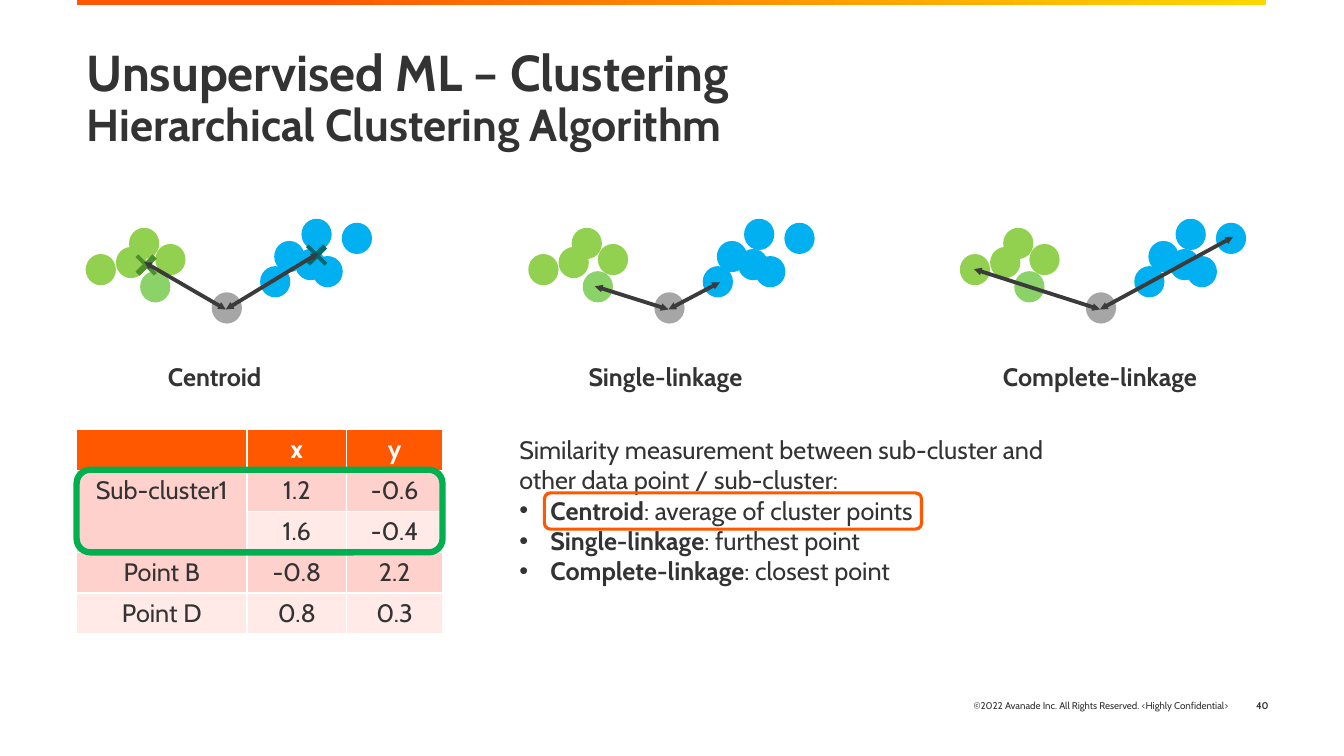
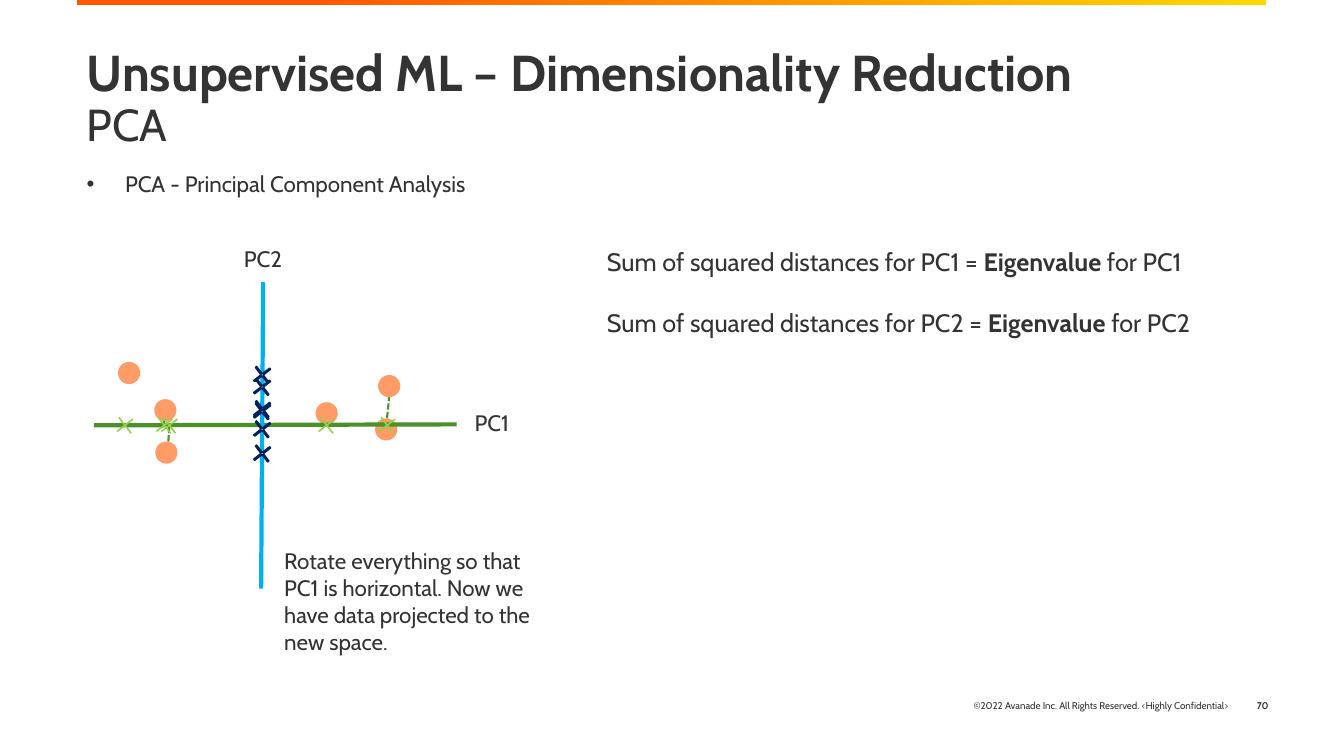
from dataclasses import dataclass

from lxml import etree
from pptx import Presentation
from pptx.dml.color import RGBColor
from pptx.enum.dml import MSO_LINE
from pptx.enum.shapes import MSO_CONNECTOR, MSO_SHAPE
from pptx.enum.text import MSO_ANCHOR, MSO_AUTO_SIZE, PP_ALIGN
from pptx.oxml.ns import qn
from pptx.util import Inches, Pt


@dataclass(frozen=True)
class Theme:
    """Colours and type sizes of the deck."""

    font: str = "Cabin"
    ink: str = "333333"
    white: str = "FFFFFF"
    orange: str = "FF5800"
    gold: str = "FFD700"
    peach: str = "FF9B66"
    rose: str = "FFD1CC"
    blush: str = "FFEAE7"
    lime: str = "92D050"
    mint: str = "8BD369"
    leaf: str = "4B912A"
    green: str = "00B050"
    teal: str = "006970"
    sky: str = "00B0F0"
    navy: str = "002060"
    grey: str = "A6A6A6"
    coal: str = "3B3B3B"
    head: int = 36
    sub: int = 32
    large: int = 18
    base: int = 16
    foot: int = 7


THEME = Theme()


def rgb(code):
    """Turn a hex code into a colour."""
    return RGBColor.from_string(code)


def inch(*sizes):
    """Turn numbers into lengths."""
    return [Inches(size) for size in sizes]


class Deck:
    """Holds the style and the current slide."""

    def __init__(self, theme):
        """Start an empty wide deck."""
        self.theme = theme
        self.show = Presentation()
        self.show.slide_width, self.show.slide_height = inch(13.33, 7.5)

    def start(self, head, sub, number, bold=True):
        """Add a slide with its band, footer and title."""
        self.slide = self.show.slides.add_slide(self.show.slide_layouts[1])
        self.room = self.slide.shapes
        self.band()
        self.text((7.78, 6.8, 4.5, 0.4),
                  [[("©2022 Avanade Inc. All Rights Reserved. <Highly Confidential>", False)]],
                  self.theme.foot, align=PP_ALIGN.RIGHT, anchor=MSO_ANCHOR.MIDDLE)
        self.text((12.2, 6.8, 0.48, 0.4), [[(number, True)]],
                  self.theme.foot, align=PP_ALIGN.RIGHT, anchor=MSO_ANCHOR.MIDDLE)
        frame = self.hold(self.slide.shapes.title, (0.76, 0.43, 11.79, 1.09))
        par = frame.paragraphs[0]
        self.put(par, [(head, True)], self.theme.head, PP_ALIGN.LEFT)
        par.line_spacing = 0.9
        par.runs[0].font.size = Pt(self.theme.head)
        par.add_line_break()
        run = par.add_run()
        run.text = sub
        run.font.size = Pt(self.theme.sub)
        run.font.bold = bold

    def band(self):
        """Draw the colour band on the top edge."""
        shape = self.shape(MSO_SHAPE.RECTANGLE, (0.76, 0, 11.8, 0.05))
        shape.fill.gradient()
        shape.fill.gradient_angle = 0
        stops = shape.fill.gradient_stops
        for stop, code, place in zip(stops, (self.theme.orange, self.theme.gold), (0.2, 1)):
            stop.color.rgb = rgb(code)
            stop.position = place

    def hold(self, shape, box):
        """Move a placeholder and return its frame."""
        shape.left, shape.top, shape.width, shape.height = inch(*box)
        frame = shape.text_frame
        frame.auto_size = MSO_AUTO_SIZE.NONE
        frame.vertical_anchor = MSO_ANCHOR.TOP
        return frame

    def put(self, par, runs, size, align=PP_ALIGN.LEFT, color=None):
        """Put runs of text and bold flags into a paragraph."""
        par.alignment = align
        par.space_before = Pt(0)
        par.font.name = self.theme.font
        par.font.size = Pt(size)
        par.font.color.rgb = rgb(color or self.theme.ink)
        flags = {bold for _, bold in runs}
        if len(flags) == 1:
            par.font.bold = flags.pop()
        for words, bold in runs:
            run = par.add_run()
            run.text = words
            if par.font.bold is None:
                run.font.bold = bold

    def lines(self, frame, rows):
        """Yield a paragraph of the frame for each row."""
        for index, row in enumerate(rows):
            yield (frame.add_paragraph() if index else frame.paragraphs[0]), row

    def text(self, box, rows, size, align=PP_ALIGN.LEFT, anchor=MSO_ANCHOR.TOP,
             wrap=True, gap=0):
        """Add a text box."""
        frame = self.room.add_textbox(*inch(*box)).text_frame
        frame.word_wrap = wrap
        frame.vertical_anchor = anchor
        for index, (par, row) in enumerate(self.lines(frame, rows)):
            self.put(par, row, size, align)
            if index:
                par.space_before = Pt(gap)

    def body(self, box, rows, size, dent, plain=0, pitch=1.0):
        """Fill the body with plain rows first, then a bullet list."""
        frame = self.hold(self.slide.placeholders[1], box)
        for index, (par, row) in enumerate(self.lines(frame, rows)):
            props = par._p.get_or_add_pPr()
            shift = 0 if index < plain else Inches(dent)
            props.set("marL", str(shift))
            props.set("indent", str(-shift))
            if shift:
                etree.SubElement(props, qn("a:buChar")).set("char", "•")
            else:
                etree.SubElement(props, qn("a:buNone"))
            self.put(par, row, size)
            par.line_spacing = pitch

    def shape(self, kind, box, fill=None, line=None, width=1.0, turn=0, adjust=None):
        """Add a preset shape."""
        shape = self.room.add_shape(kind, *inch(*box))
        shape.shadow.inherit = False
        shape.rotation = turn
        if adjust is not None:
            shape.adjustments[0] = adjust
        if fill:
            shape.fill.solid()
            shape.fill.fore_color.rgb = rgb(fill)
        else:
            shape.fill.background()
        if line:
            shape.line.color.rgb = rgb(line)
            shape.line.width = Pt(width)
        else:
            shape.line.fill.background()
        return shape

    def dot(self, left, top, wide, high, fill):
        """Add a data point."""
        self.shape(MSO_SHAPE.OVAL, (left, top, wide, high), fill)

    def line(self, start, end, color, width, dash=False, heads=False):
        """Add a line, dashed or with heads on both ends."""
        link = self.room.add_connector(MSO_CONNECTOR.STRAIGHT, *inch(*start, *end))
        link.line.color.rgb = rgb(color)
        link.line.width = Pt(width)
        if dash:
            link.line.dash_style = MSO_LINE.SQUARE_DOT
        props = link._element.spPr
        if heads:
            for name in ("a:headEnd", "a:tailEnd"):
                tip = etree.SubElement(props.find(qn("a:ln")), qn(name))
                for key, value in (("type", "triangle"), ("w", "sm"), ("len", "sm")):
                    tip.set(key, value)
        etree.SubElement(props, qn("a:effectLst"))

    def table(self, box, wides, rows):
        """Add a table with a head row and banded rows."""
        theme = self.theme
        grid = self.room.add_table(len(rows), len(wides), *inch(*box)).table
        for col, wide in zip(grid.columns, wides):
            col.width = Inches(wide)
        for index, row in enumerate(rows):
            band = (theme.rose if index % 2 else theme.blush) if index else theme.orange
            for spot, words in enumerate(row):
                cell = grid.cell(index, spot)
                cell.fill.solid()
                cell.fill.fore_color.rgb = rgb(band)
                if words:
                    self.put(cell.text_frame.paragraphs[0], [(words, not index)],
                             theme.large, PP_ALIGN.CENTER,
                             theme.ink if index else theme.white)
        return grid

    def group(self):
        """Send the next shapes to a new group."""
        self.room = self.slide.shapes.add_group_shape().shapes

    def leave(self):
        """Send the next shapes to the slide again."""
        self.room = self.slide.shapes


def linkage(deck):
    """Build the slide on linkage."""
    theme = deck.theme
    deck.start("Unsupervised ML – Clustering", "Hierarchical Clustering Algorithm", "40")
    grid = deck.table((0.76, 4.26, 3.63, 2.03), (1.69, 0.99, 0.95), [
        ("", "x", "y"),
        ("Sub-cluster1", "1.2", "-0.6"),
        ("", "1.6", "-0.4"),
        ("Point B", "-0.8", "2.2"),
        ("Point D", "0.8", "0.3"),
    ])
    grid.cell(1, 0).merge(grid.cell(2, 0))
    deck.shape(MSO_SHAPE.ROUNDED_RECTANGLE, (0.76, 4.66, 3.63, 0.82),
               line=theme.green, width=4.5)
    deck.body((5.05, 4.26, 5.68, 1.62), [
        [("Similarity measurement between sub-cluster and other data point / sub-cluster:", False)],
        [("Centroid", True), (": average of cluster points", False)],
        [("Single-linkage", True), (": furthest point", False)],
        [("Complete-linkage", True), (": closest point", False)],
    ], theme.large, 0.31, plain=1)
    deck.shape(MSO_SHAPE.ROUNDED_RECTANGLE, (5.4, 4.89, 3.74, 0.36),
               line=theme.orange, width=2.25)

    top = 2.17
    hub = (1.39, 0.9)
    clouds = {
        theme.lime: [(0.43, 0.09), (0.69, 0.25), (0, 0.35), (0.3, 0.28)],
        theme.mint: [(0.54, 0.52)],
        theme.sky: [(2.08, 0.3), (2.54, 0.04), (2.14, 0), (1.87, 0.22),
                    (2.25, 0.37), (1.73, 0.47)],
        theme.grey: [(1.25, 0.73)],
    }
    views = [
        ("Centroid", 0.85, 2.13, [(0.58, 0.43), (2.31, 0.34)]),
        ("Single-linkage", 5.24, 6.6, [(0.66, 0.67), (1.9, 0.63)]),
        ("Complete-linkage", 9.52, 10.91, [(0.14, 0.5), (2.71, 0.18)]),
    ]
    for name, left, mid, ends in views:
        deck.group()
        for color, spots in clouds.items():
            for x, y in spots:
                deck.dot(left + x, top + y, 0.3, 0.31, color)
        deck.leave()
        if name == "Centroid":
            for x, y, color in ((1.32, 2.51, theme.leaf), (3.01, 2.41, theme.teal)):
                deck.shape(MSO_SHAPE.CROSS, (x, y, 0.26, 0.24), color, turn=44.8, adjust=0.42)
        for x, y in ends:
            deck.line((left + hub[0], top + hub[1]), (left + x, top + y),
                      theme.coal, 2.75, heads=True)
        deck.text((mid - 1.3, 3.54, 2.6, 0.4), [[(name, True)]], theme.large,
                  align=PP_ALIGN.CENTER)


def reduction(deck):
    """Build the slide on main components."""
    theme = deck.theme
    deck.start("Unsupervised ML – Dimensionality Reduction", "PCA", "70", bold=False)
    deck.body((0.76, 1.67, 11.79, 1.09),
              [[("PCA - Principal Component Analysis", False)]],
              theme.base, 0.38, pitch=0.9)
    deck.text((2.72, 5.38, 2.81, 1.18), [[(
        "Rotate everything so that PC1 is horizontal. "
        "Now we have data projected to the new space.", False)]], theme.base)

    deck.group()
    deck.line((3.83, 4.23), (3.86, 3.94), theme.leaf, 1.5, dash=True)
    for x, y in ((1.53, 3.96), (3.75, 3.72), (3.13, 3.99),
                 (3.72, 4.15), (1.17, 3.59), (1.54, 4.38)):
        deck.dot(x, y, 0.22, 0.22, theme.peach)
    deck.line((0.93, 4.22), (4.53, 4.21), theme.leaf, 3)
    deck.line((1.67, 4.38), (1.68, 4.22), theme.leaf, 1.5, dash=True)
    deck.line((1.63, 4.24), (1.63, 4.15), theme.leaf, 1.5, dash=True)
    deck.line((2.59, 5.84), (2.61, 2.8), theme.sky, 3)
    marks = [(2.5, y, theme.navy) for y in (4.4, 3.96, 3.62, 4.16, 3.98, 3.74)]
    marks += [(x, 4.12, None) for x in (1.14, 1.53, 3.14, 1.58, 3.74)]
    for x, y, edge in marks:
        deck.shape(MSO_SHAPE.CROSS, (x, y, 0.2, 0.2), theme.lime, edge,
                   turn=52.2, adjust=0.46)
    for name, x, y in (("PC1", 4.61, 4.01), ("PC2", 2.32, 2.38)):
        deck.text((x, y, 0.59, 0.37), [[(name, False)]], theme.base, wrap=False)
    deck.leave()

    deck.text((5.92, 2.39, 6.86, 1.31), [
        [(f"Sum of squared distances for {name} = ", False),
         ("Eigenvalue ", True), (f"for {name}", False)]
        for name in ("PC1", "PC2")
    ], theme.large, gap=22)


def main():
    """Build and save the deck."""
    deck = Deck(THEME)
    linkage(deck)
    reduction(deck)
    deck.show.save("out.pptx")


if __name__ == "__main__":
    main()
